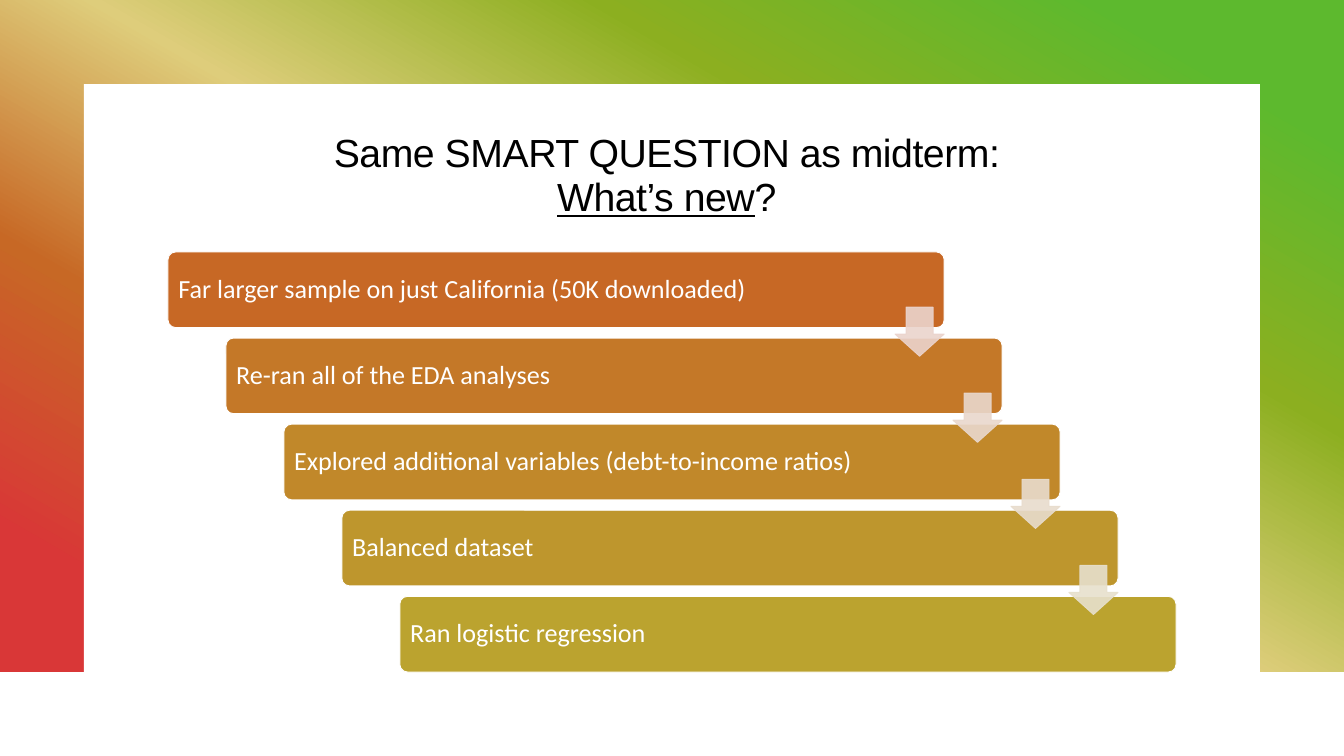
from dataclasses import dataclass

from lxml import etree
from pptx import Presentation
from pptx import util as u
from pptx.dml.color import RGBColor
from pptx.enum import shapes, text
from pptx.oxml import ns

WIDTH, HEIGHT = 20, 11.25
WHITE = RGBColor(0xFF, 0xFF, 0xFF)
BLACK = RGBColor(0, 0, 0)
GRADIENT = [
    (10, RGBColor(0x5D, 0xB9, 0x2E)),
    (30, RGBColor(0x8C, 0xAF, 0x20)),
    (50, RGBColor(0xDE, 0xCD, 0x7B)),
    (70, RGBColor(0xC7, 0x68, 0x25)),
    (90, RGBColor(0xD9, 0x37, 0x37)),
]
GRADIENT_ANGLE = 120
ARROW_OPACITY = 90

# The staircase of bars fills this area, in inches
AREA_LEFT, AREA_TOP = WIDTH / 8, HEIGHT / 3
AREA_WIDTH, AREA_HEIGHT = WIDTH * 0.75, 6.25
BAR_WIDTH, BAR_HEIGHT = AREA_WIDTH * 0.77, AREA_HEIGHT * 0.18
ARROW_SIZE = BAR_HEIGHT * 0.65
ARROW_DROP = 0.82


@dataclass(frozen=True)
class Step:
    """One bar of the staircase and the arrow that leaves it, if any."""

    label: str
    color: RGBColor
    arrow: RGBColor | None = None


STEPS = [
    Step("Far larger sample on just California (50K downloaded)",
         RGBColor(0xC7, 0x68, 0x25), RGBColor(0xEB, 0xD4, 0xCD)),
    Step("Re-ran all of the EDA analyses",
         RGBColor(0xC4, 0x78, 0x28), RGBColor(0xE9, 0xD8, 0xCD)),
    Step("Explored additional variables (debt-to-income ratios)",
         RGBColor(0xC1, 0x88, 0x2A), RGBColor(0xE8, 0xDC, 0xCD)),
    Step("Balanced dataset",
         RGBColor(0xBE, 0x96, 0x2D), RGBColor(0xE7, 0xE0, 0xCD)),
    Step("Ran logistic regression", RGBColor(0xBB, 0xA3, 0x2F)),
]


def add_box(parent, kind, left: float, top: float, width: float, height: float,
            fill: RGBColor, line: RGBColor | None = None):
    """Add a preset shape with a solid fill and an optional 1 pt outline."""
    box = parent.add_shape(kind, *map(u.Inches, (left, top, width, height)))
    box.shadow.inherit = False
    box.fill.solid()
    box.fill.fore_color.rgb = fill
    if line is None:
        box.line.fill.background()
    else:
        box.line.color.rgb = line
        box.line.width = u.Pt(1)
    return box


def set_gradient(box) -> None:
    """Replace the solid fill of a box with the five-colour gradient."""
    solid = box._element.spPr.find(ns.qn("a:solidFill"))
    gradient = etree.Element(ns.qn("a:gradFill"), rotWithShape="1")
    stops = etree.SubElement(gradient, ns.qn("a:gsLst"))
    for share, color in GRADIENT:
        stop = etree.SubElement(stops, ns.qn("a:gs"), pos=str(share * 1000))
        etree.SubElement(stop, ns.qn("a:srgbClr"), val=str(color))
    etree.SubElement(gradient, ns.qn("a:lin"),
                     ang=str(GRADIENT_ANGLE * 60000), scaled="0")
    solid.getparent().replace(solid, gradient)


def set_opacity(box, percent: int) -> None:
    """Make the fill and outline of a box partly transparent."""
    for color in box._element.spPr.iter(ns.qn("a:srgbClr")):
        etree.SubElement(color, ns.qn("a:alpha"), val=str(percent * 1000))


def add_title(page) -> None:
    """Fill and place the title placeholder."""
    title = page.shapes.title
    title.left, title.top = u.Inches(AREA_LEFT), u.Inches(1.86)
    title.width, title.height = u.Inches(AREA_WIDTH), u.Inches(1.52)
    frame = title.text_frame
    frame.word_wrap = True
    frame.auto_size = text.MSO_AUTO_SIZE.NONE
    frame.vertical_anchor = text.MSO_ANCHOR.MIDDLE
    para = frame.paragraphs[0]
    para.text = "Same SMART QUESTION as midterm: \vWhat’s new"
    para.add_run().text = "? "
    para.alignment = text.PP_ALIGN.CENTER
    para.line_spacing = 0.95
    for span in para.runs:
        span.font.size = u.Pt(42)
        span.font.name = "Arial"
        span.font.color.rgb = BLACK
        span._r.get_or_add_rPr().set("spc", "-50")
    para.runs[1].font.underline = True


def add_label(box, label: str) -> None:
    """Write the label of a bar, left-aligned and vertically centred."""
    frame = box.text_frame
    frame.text = label
    frame.word_wrap = True
    frame.vertical_anchor = text.MSO_ANCHOR.MIDDLE
    frame.margin_left = frame.margin_right = u.Inches(0.12)
    frame.margin_top = frame.margin_bottom = u.Inches(0.12)
    para = frame.paragraphs[0]
    para.alignment = text.PP_ALIGN.LEFT
    para.line_spacing = 0.9
    font = para.runs[0].font
    font.size = u.Pt(28)
    font.name = "Calibri"
    font.color.rgb = WHITE


def add_staircase(page) -> None:
    """Draw all bars, then the arrows that lead from each to the next."""
    group = page.shapes.add_group_shape().shapes
    gaps = len(STEPS) - 1
    shift = (AREA_WIDTH - BAR_WIDTH) / gaps
    drop = (AREA_HEIGHT - BAR_HEIGHT) / gaps
    corners = [(AREA_LEFT + i * shift, AREA_TOP + i * drop)
               for i in range(len(STEPS))]
    for step, (left, top) in zip(STEPS, corners):
        bar = add_box(group, shapes.MSO_SHAPE.ROUNDED_RECTANGLE, left, top,
                      BAR_WIDTH, BAR_HEIGHT, step.color, WHITE)
        bar.adjustments[0] = 0.1
        add_label(bar, step.label)
    for step, (left, top) in zip(STEPS, corners):
        if step.arrow is None:
            continue
        arrow = add_box(group, shapes.MSO_SHAPE.DOWN_ARROW,
                        left + BAR_WIDTH - ARROW_SIZE, top + ARROW_DROP,
                        ARROW_SIZE, ARROW_SIZE, step.arrow, step.arrow)
        arrow.adjustments[0], arrow.adjustments[1] = 0.55, 0.45
        set_opacity(arrow, ARROW_OPACITY)


def main() -> None:
    """Build the slide and save the deck."""
    deck = Presentation()
    deck.slide_width, deck.slide_height = u.Inches(WIDTH), u.Inches(HEIGHT)
    page = deck.slides.add_slide(deck.slide_layouts.get_by_name("Title Only"))
    backdrop = add_box(page.shapes, shapes.MSO_SHAPE.RECTANGLE,
                       0, -0.02, WIDTH, 10.02, WHITE)
    set_gradient(backdrop)
    add_box(page.shapes, shapes.MSO_SHAPE.RECTANGLE,
            1.25, 1.25, WIDTH - 2.5, 8.75, WHITE)
    # The title placeholder comes first, so bring it above the panel
    title = page.shapes.title._element
    title.getparent().append(title)
    add_title(page)
    add_staircase(page)
    deck.save("out.pptx")


main()
